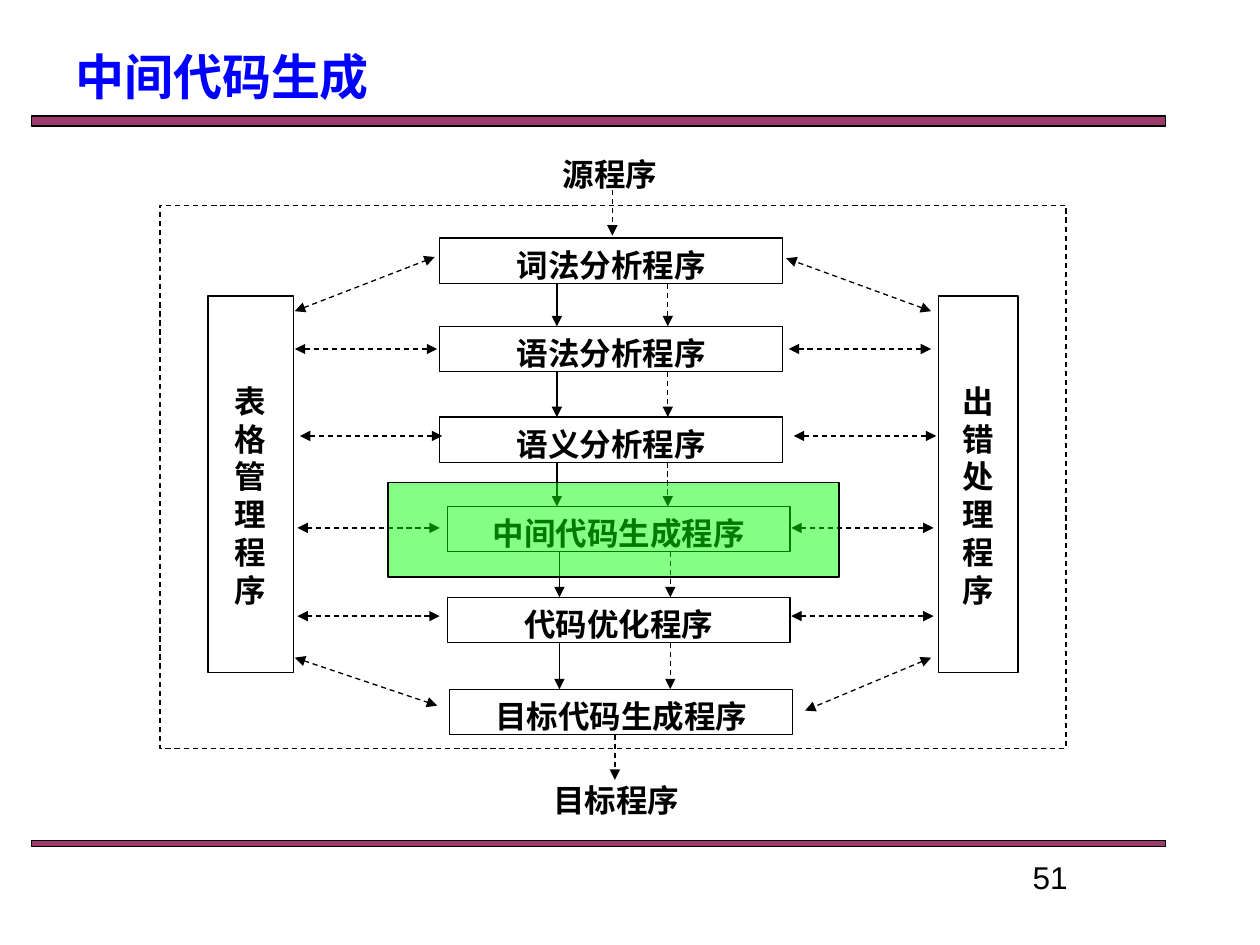
from typing import NamedTuple

from lxml import etree
from pptx import Presentation
from pptx import util as u
from pptx.dml import color
from pptx.enum import dml, shapes, text
from pptx.oxml import ns

BLACK, WHITE, PLUM, GREEN, BLUE = "000000", "FFFFFF", "993366", "00FF00", "0000FF"
SERIF, SANS, CJK = "Times New Roman", "Arial", "Noto Sans CJK SC"


class Area(NamedTuple):
    left: float
    top: float
    width: float
    height: float


class Stage(NamedTuple):
    label: str
    left: float
    top: float


class Arrow(NamedTuple):
    x1: float
    y1: float
    x2: float
    y2: float
    dashed: bool = True
    double: bool = False


STAGES = [
    Stage("词法分析程序", 3.49, 1.89),
    Stage("语法分析程序", 3.49, 2.59),
    Stage("语义分析程序", 3.49, 3.31),
    Stage("中间代码生成程序", 3.55, 4.02),
    Stage("代码优化程序", 3.55, 4.74),
    Stage("目标代码生成程序", 3.57, 5.47),
]
STAGE_WIDTH, STAGE_HEIGHT = 2.72, 0.36
FLOW_SHIFTS = [0, 0, 0, 0.02, 0.02]
LEVEL_ARROWS = [(2.34, 2.77), (2.38, 3.46), (2.36, 4.19), (2.36, 4.89)]
LEVEL_LENGTH, SIDE_GAP = 1.13, 3.92
CORNER_ARROWS = [
    (2.34, 2.47, 3.45, 2.04),
    (2.34, 5.22, 3.47, 5.6),
    (7.39, 2.47, 6.24, 2.05),
    (7.39, 5.22, 6.39, 5.64),
]


def rgb(value: str) -> color.RGBColor:
    return color.RGBColor.from_string(value)


def draw_line(line, dashed: bool) -> None:
    line.color.rgb = rgb(BLACK)
    line.width = u.Pt(0.75)
    if dashed:
        line.dash_style = dml.MSO_LINE.DASH


def write(box, words: str, *, size: float = 18, latin: str = SERIF,
          tint: str = BLACK, bold: bool = True, centred: bool = True,
          inset: float = 0.06, spacing: float | None = 21.6,
          anchor=text.MSO_ANCHOR.TOP) -> None:
    frame = box.text_frame
    frame.word_wrap = True
    frame.vertical_anchor = anchor
    frame.margin_left = frame.margin_right = u.Inches(0.1)
    frame.margin_top, frame.margin_bottom = u.Inches(inset), 0
    para = frame.paragraphs[0]
    para.alignment = text.PP_ALIGN.CENTER if centred else text.PP_ALIGN.LEFT
    if spacing:
        para.line_spacing = u.Pt(spacing)
    span = para.add_run()
    span.text = words
    span.font.size, span.font.bold, span.font.name = u.Pt(size), bold, latin
    span.font.color.rgb = rgb(tint)
    east = etree.SubElement(span.font._element, ns.qn("a:ea"))
    east.set("typeface", CJK)


def add_box(page, area: Area, fill: str | None = WHITE,
            opacity: int = 100, dashed: bool = False):
    box = page.shapes.add_shape(shapes.MSO_SHAPE.RECTANGLE, *map(u.Inches, area))
    box.shadow.inherit = False
    if fill:
        box.fill.solid()
        box.fill.fore_color.rgb = rgb(fill)
        if opacity < 100:
            tint = box._element.spPr.find(".//" + ns.qn("a:srgbClr"))
            etree.SubElement(tint, ns.qn("a:alpha")).set("val", str(opacity * 1000))
    else:
        box.fill.background()
    draw_line(box.line, dashed)
    return box


def add_label(page, area: Area, words: str, **look) -> None:
    write(page.shapes.add_textbox(*map(u.Inches, area)), words, **look)


def add_arrow(page, arrow: Arrow) -> None:
    link = page.shapes.add_connector(
        shapes.MSO_CONNECTOR.STRAIGHT, *map(u.Inches, arrow[:4]))
    draw_line(link.line, arrow.dashed)
    outline = link.line._get_or_add_ln()
    for end in ("headEnd", "tailEnd") if arrow.double else ("tailEnd",):
        etree.SubElement(outline, ns.qn("a:" + end)).set("type", "triangle")
    etree.SubElement(link._element.spPr, ns.qn("a:effectLst"))


def list_arrows() -> list[Arrow]:
    arrows = [Arrow(4.86, 1.51, 4.86, 1.87), Arrow(4.88, 5.83, 4.88, 6.19)]
    for stage, following, shift in zip(STAGES, STAGES[1:], FLOW_SHIFTS):
        start = stage.top + STAGE_HEIGHT
        for x, dashed in ((4.42, False), (5.3, True)):
            arrows.append(Arrow(x + shift, start, x + shift, following.top, dashed))
    for x, y in LEVEL_ARROWS:
        for left in (x, x + SIDE_GAP):
            arrows.append(Arrow(left, y, left + LEVEL_LENGTH, y, double=True))
    return arrows + [Arrow(*ends, double=True) for ends in CORNER_ARROWS]


def main() -> None:
    deck = Presentation()
    deck.slide_width, deck.slide_height = u.Inches(10), u.Inches(7.5)
    page = deck.slides.add_slide(deck.slide_layouts[6])

    for top, height in ((0.92, 0.08), (6.67, 0.05)):
        add_box(page, Area(0.25, top, 9, height), PLUM, 96)
    add_label(page, Area(3.48, 1.17, STAGE_WIDTH, STAGE_HEIGHT), "源程序")
    for stage in STAGES:
        area = Area(stage.left, stage.top, STAGE_WIDTH, STAGE_HEIGHT)
        write(add_box(page, area), stage.label)
    add_label(page, Area(3.53, 6.14, STAGE_WIDTH, STAGE_HEIGHT), "目标程序")
    for left, width, words in ((1.65, 0.68, "表格管理程序"), (7.45, 0.63, "出错处理程序")):
        write(add_box(page, Area(left, 2.35, width, 2.99)), words, inset=0.68)
    for arrow in list_arrows():
        add_arrow(page, arrow)
    add_box(page, Area(1.27, 1.63, 7.19, 4.31), None, dashed=True)
    add_box(page, Area(3.08, 3.83, 3.58, 0.75), GREEN, 48)
    add_label(page, Area(0.5, 0.42, 9, 0.37), "中间代码生成", size=28, latin=CJK,
              tint=BLUE, centred=False, inset=0, spacing=None,
              anchor=text.MSO_ANCHOR.MIDDLE)
    add_label(page, Area(7.17, 6.75, 2.33, 0.42), "51", latin=SANS, bold=False,
              spacing=None)
    deck.save("out.pptx")


if __name__ == "__main__":
    main()
